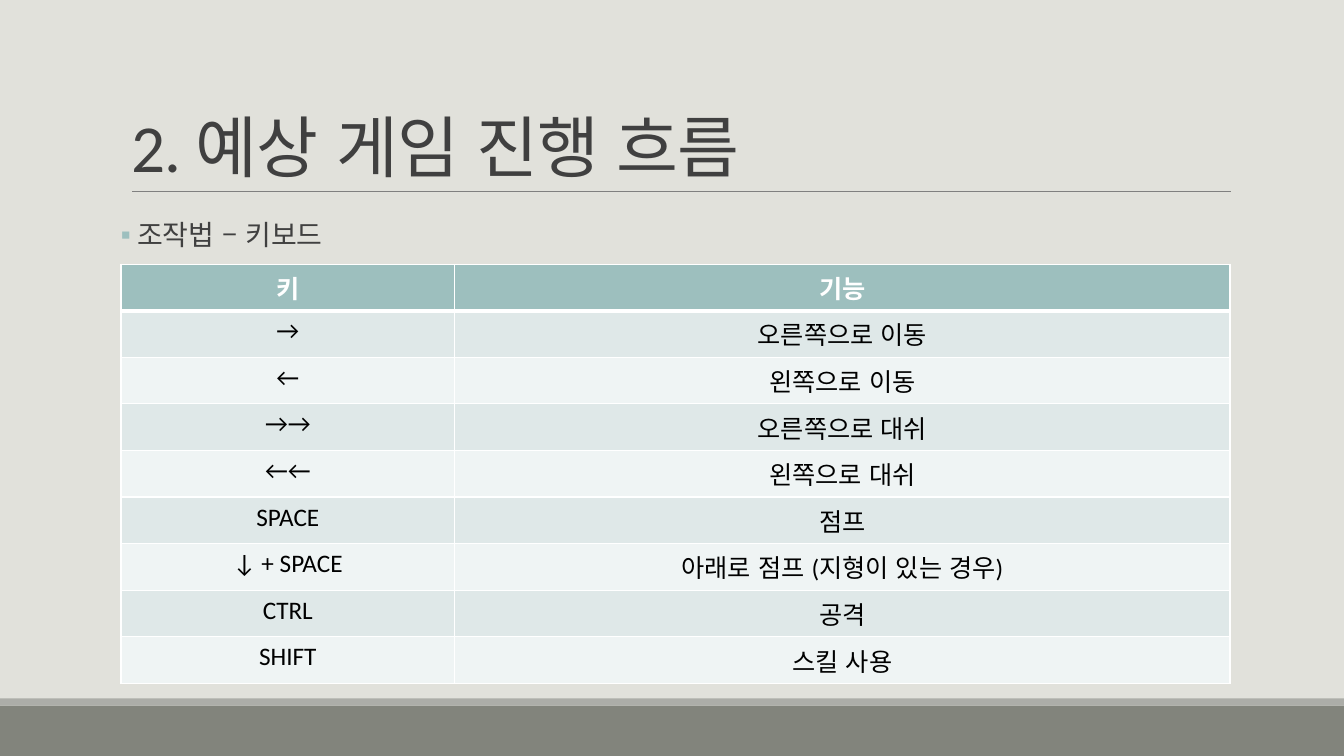
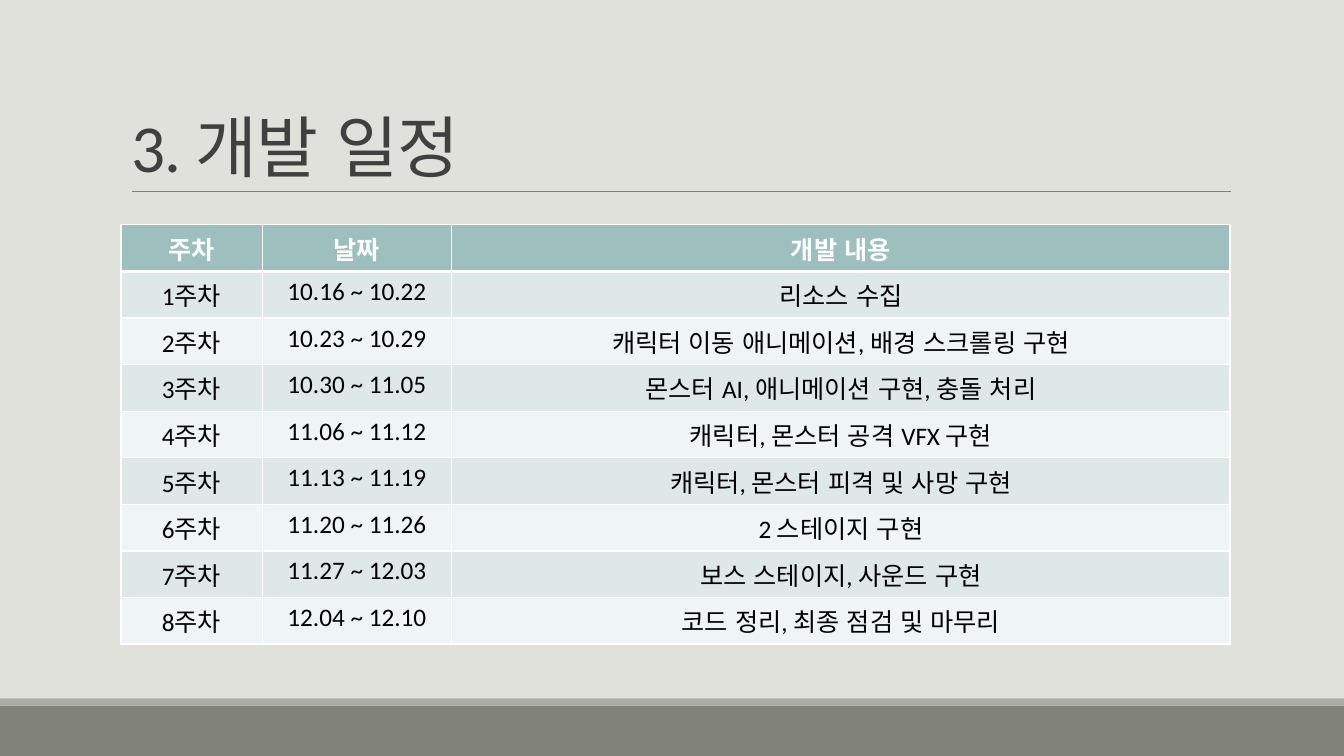
"""Build two slides of a game plan: key controls and work schedule."""
from dataclasses import dataclass

from lxml import etree
from pptx import Presentation
from pptx.dml.color import RGBColor
from pptx.enum.lang import MSO_LANGUAGE_ID
from pptx.enum.shapes import MSO_CONNECTOR, MSO_SHAPE
from pptx.enum.text import MSO_ANCHOR, MSO_AUTO_SIZE, PP_ALIGN
from pptx.oxml.ns import qn
from pptx.slide import Slide
from pptx.table import _Cell
from pptx.text.text import _Paragraph
from pptx.util import Inches, Pt

RECT = MSO_SHAPE.RECTANGLE
LINE = MSO_CONNECTOR.STRAIGHT
BOTTOM, TOP = MSO_ANCHOR.BOTTOM, MSO_ANCHOR.TOP
NO_FIT = MSO_AUTO_SIZE.NONE
LEFT, CENTER = PP_ALIGN.LEFT, PP_ALIGN.CENTER
KOREAN = MSO_LANGUAGE_ID.KOREAN

PAPER = RGBColor(0xE1, 0xE1, 0xDB)
STONE = RGBColor(0x82, 0x84, 0x7C)
ASH = RGBColor(0xAC, 0xAD, 0xA8)
GRAY = RGBColor(0x80, 0x80, 0x80)
INK = RGBColor(0x40, 0x40, 0x40)
TEAL = RGBColor(0x9D, 0xBF, 0xBE)
MIST = RGBColor(0xDF, 0xE8, 0xE8)
PALE = RGBColor(0xEF, 0xF4, 0xF4)
WHITE = RGBColor(0xFF, 0xFF, 0xFF)
BLACK = RGBColor(0, 0, 0)

FONT = "Calibri"
WIDE, HIGH = 13.33, 7.5
EDGE, SPAN = 1.2, 11
ROW = 0.41
INDENT = 0.16


@dataclass(frozen=True)
class Band:
    """A full-width strip at the foot of a slide."""
    top: float
    height: float
    color: RGBColor


@dataclass(frozen=True)
class Grid:
    """A table with its top edge, column widths and rows."""
    top: float
    widths: tuple[float, ...]
    rows: tuple[tuple[str, ...], ...]


@dataclass(frozen=True)
class Page:
    """The content of one slide."""
    title: str
    grid: Grid
    lead: str = ""


BANDS = (Band(7, 0.5, STONE), Band(6.93, 0.07, ASH))

PAGES = (
    Page(
        "2. 예상 게임 진행 흐름",
        Grid(2.62, (3.31, 7.69), (
            ("키", "기능"),
            ("→", "오른쪽으로 이동"),
            ("←", "왼쪽으로 이동"),
            ("→→", "오른쪽으로 대쉬"),
            ("←←", "왼쪽으로 대쉬"),
            ("SPACE", "점프"),
            ("↓ + SPACE", "아래로 점프 (지형이 있는 경우)"),
            ("CTRL", "공격"),
            ("SHIFT", "스킬 사용"),
        )),
        "조작법 – 키보드",
    ),
    Page(
        "3. 개발 일정",
        Grid(2.23, (1.4, 1.88, 7.72), (
            ("주차", "날짜", "개발 내용"),
            ("1주차", "10.16 ~ 10.22", "리소스 수집"),
            ("2주차", "10.23 ~ 10.29", "캐릭터 이동 애니메이션, 배경 스크롤링 구현"),
            ("3주차", "10.30 ~ 11.05", "몬스터 AI, 애니메이션 구현, 충돌 처리"),
            ("4주차", "11.06 ~ 11.12", "캐릭터, 몬스터 공격 VFX 구현"),
            ("5주차", "11.13 ~ 11.19", "캐릭터, 몬스터 피격 및 사망 구현"),
            ("6주차", "11.20 ~ 11.26", "2 스테이지 구현"),
            ("7주차", "11.27 ~ 12.03", "보스 스테이지, 사운드 구현"),
            ("8주차", "12.04 ~ 12.10", "코드 정리, 최종 점검 및 마무리"),
        )),
    ),
)


def style(para: _Paragraph, size: float, color: RGBColor, bold: bool = False) -> None:
    """Format every run of a paragraph."""
    for run in para.runs:
        font = run.font
        font.name, font.size, font.bold = FONT, Pt(size), bold
        font.color.rgb = color
        font.language_id = KOREAN


def place(shape, top: float, height: float) -> None:
    """Move a placeholder into the content column."""
    shape.left, shape.top = Inches(EDGE), Inches(top)
    shape.width, shape.height = Inches(SPAN), Inches(height)


def draw_frame(slide: Slide) -> None:
    """Draw the foot bands and the rule below the title."""
    for band in BANDS:
        strip = slide.shapes.add_shape(
            RECT, 0, Inches(band.top), Inches(WIDE), Inches(band.height))
        strip.shadow.inherit = False
        strip.fill.solid()
        strip.fill.fore_color.rgb = band.color
        strip.line.fill.background()
    rule = slide.shapes.add_connector(
        LINE, Inches(1.31), Inches(1.9), Inches(12.21), Inches(1.9))
    rule.line.color.rgb = GRAY
    rule.line.width = Pt(0.5)
    etree.SubElement(rule._element.spPr, qn("a:effectLst"))


def draw_title(slide: Slide, text: str) -> None:
    """Fill and format the title."""
    title = slide.shapes.title
    place(title, 0.31, 1.59)
    frame = title.text_frame
    frame.text = text
    frame.auto_size = NO_FIT
    frame.vertical_anchor = BOTTOM
    para = frame.paragraphs[0]
    para.alignment = LEFT
    para.line_spacing = 0.85
    style(para, 48, INK)
    for run in para.runs:
        run.font._element.set("spc", "-50")


def draw_lead(slide: Slide, text: str) -> None:
    """Fill the body with one bulleted line."""
    body = slide.placeholders[1]
    place(body, 2.15, 4.27)
    frame = body.text_frame
    frame.text = text
    frame.auto_size = NO_FIT
    frame.vertical_anchor = TOP
    frame.margin_left = frame.margin_right = 0
    para = frame.paragraphs[0]
    props = para._p.get_or_add_pPr()
    props.set("marL", str(Inches(INDENT)))
    props.set("indent", str(-Inches(INDENT)))
    tint = etree.SubElement(props, qn("a:buClr"))
    etree.SubElement(tint, qn("a:srgbClr"), val=str(TEAL))
    etree.SubElement(props, qn("a:buFont"), typeface=FONT)
    etree.SubElement(props, qn("a:buChar"), char="▪")
    para.line_spacing = 0.9
    para.space_before, para.space_after = Pt(0), Pt(2)
    style(para, 20, INK)


def draw_edge(cell: _Cell, side: str, width: float) -> None:
    """Give one side of a cell a white border."""
    props = cell._tc.get_or_add_tcPr()
    line = etree.SubElement(props, qn(f"a:ln{side}"), w=str(Pt(width)))
    fill = etree.SubElement(line, qn("a:solidFill"))
    etree.SubElement(fill, qn("a:srgbClr"), val=str(WHITE))


def draw_cell(cell: _Cell, text: str, row: int) -> None:
    """Fill and format one cell by its row number."""
    head = row == 0
    edges = {"L": 1, "R": 1, "T": 3 if row == 1 else 1, "B": 3 if head else 1}
    for side, width in edges.items():
        draw_edge(cell, side, width)
    cell.fill.solid()
    cell.fill.fore_color.rgb = TEAL if head else MIST if row % 2 else PALE
    cell.text_frame.text = text
    para = cell.text_frame.paragraphs[0]
    para.alignment = CENTER
    style(para, 18, WHITE if head else BLACK, head)


def draw_grid(slide: Slide, grid: Grid) -> None:
    """Draw a table with a head row and striped rows."""
    count = len(grid.rows)
    table = slide.shapes.add_table(
        count, len(grid.widths), Inches(EDGE), Inches(grid.top),
        Inches(SPAN), Inches(ROW * count)).table
    for column, width in zip(table.columns, grid.widths):
        column.width = Inches(width)
    for row, texts in enumerate(grid.rows):
        table.rows[row].height = Inches(ROW)
        for col, text in enumerate(texts):
            draw_cell(table.cell(row, col), text, row)


def main() -> None:
    """Build and save the deck."""
    deck = Presentation()
    deck.slide_width, deck.slide_height = Inches(WIDE), Inches(HIGH)
    back = deck.slide_master.background.fill
    back.solid()
    back.fore_color.rgb = PAPER
    for page in PAGES:
        slide = deck.slides.add_slide(deck.slide_layouts[1 if page.lead else 5])
        draw_frame(slide)
        draw_title(slide, page.title)
        if page.lead:
            draw_lead(slide, page.lead)
        draw_grid(slide, page.grid)
    deck.save("out.pptx")


if __name__ == "__main__":
    main()
